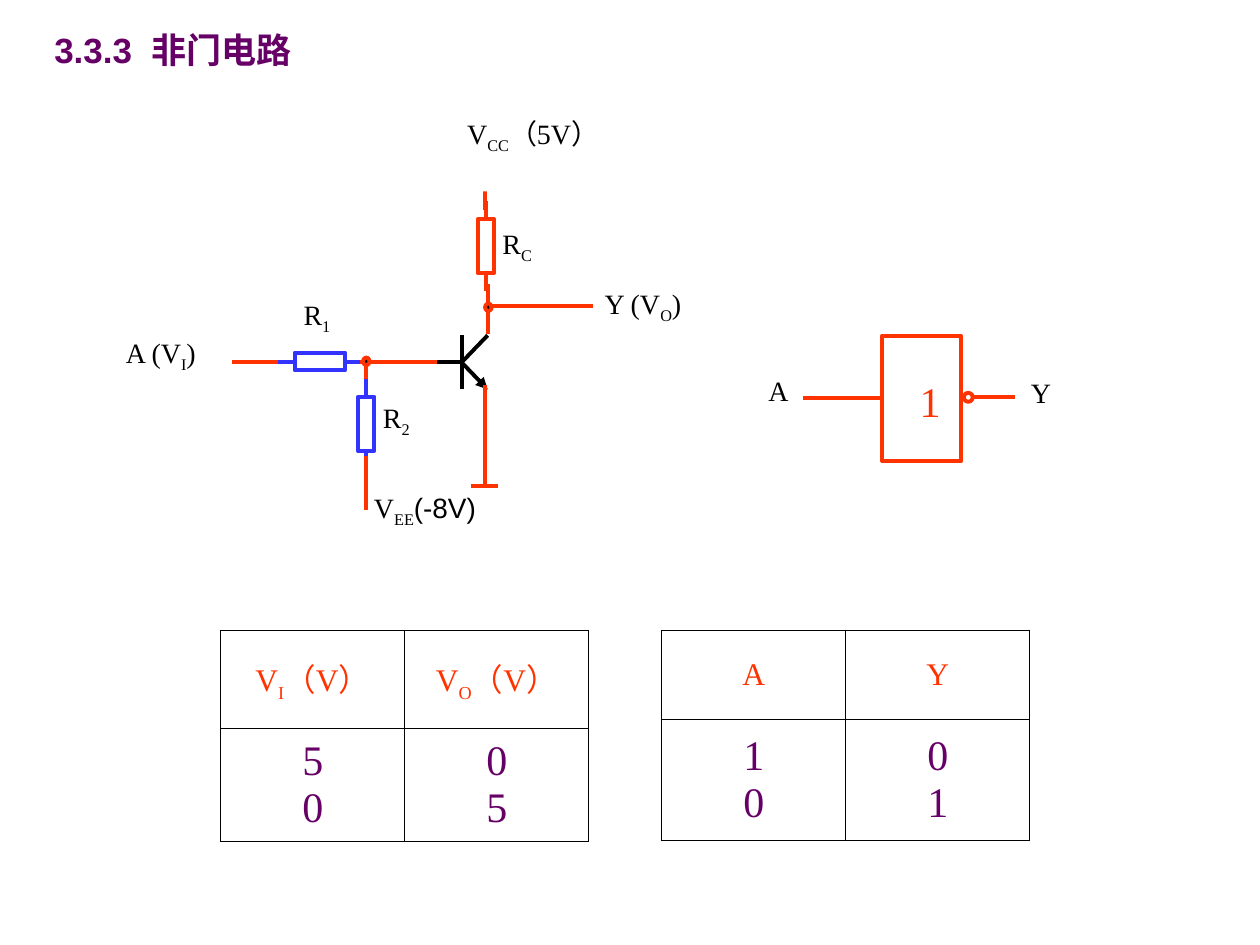
from lxml import etree
from pptx import Presentation
from pptx import util as u
from pptx.dml.color import RGBColor
from pptx.enum import shapes as sh, text as tx
from pptx.oxml.ns import qn

RED, BLUE, BLACK, WHITE, PLUM = "FF3300", "3333FF", "000000", "FFFFFF", "660066"
SERIF = "Times New Roman"


def paint(target, hue):
    """Set a solid colour on a fill."""
    target.solid()
    target.fore_color.rgb = RGBColor.from_string(hue)


def write(frame, words, size=16, font=SERIF, hue=BLACK, bold=False,
          align=tx.PP_ALIGN.LEFT, anchor=tx.MSO_ANCHOR.TOP, tail=None):
    """Write lines of text in which pairs of underscores hold subscripts."""
    frame.word_wrap = True
    frame.vertical_anchor = anchor
    for i, line in enumerate(words.split("\n")):
        para = frame.add_paragraph() if i else frame.paragraphs[0]
        para.alignment = align
        for k, part in enumerate(line.split("_")):
            run = para.add_run()
            run.text = part
            run.font.size, run.font.bold = u.Pt(size), bold
            run.font.name = tail if tail and k == 2 else font
            paint(run.font.fill, hue)
            if k % 2:
                run.font._element.set("baseline", "-25000")


def label(slide, words, x, y, w, h=1.02, **style):
    """Add a white text box without margins."""
    box = slide.shapes.add_textbox(*map(u.Cm, (x, y, w, h)))
    paint(box.fill, WHITE)
    frame = box.text_frame
    frame.margin_left = frame.margin_right = 0
    frame.margin_top = frame.margin_bottom = 0
    write(frame, words, **style)


def wire(slide, x1, y1, x2, y2, hue=RED, arrow=False):
    """Add a straight line, with an arrowhead at its end on request."""
    line = slide.shapes.add_connector(
        sh.MSO_CONNECTOR.STRAIGHT, *map(u.Cm, (x1, y1, x2, y2)))
    line.line.width = u.Pt(2.25)
    paint(line.line.fill, hue)
    if arrow:
        etree.SubElement(line.line._get_or_add_ln(), qn("a:tailEnd"), type="triangle")
    etree.SubElement(line._element.spPr, qn("a:effectLst"))


def shape(slide, kind, x, y, w, h, fill=WHITE, hue=RED):
    """Add an outlined preset shape."""
    item = slide.shapes.add_shape(kind, *map(u.Cm, (x, y, w, h)))
    item.shadow.inherit = False
    paint(item.fill, fill)
    paint(item.line.fill, hue)
    item.line.width = u.Pt(2.25)


def resist(slide, x, y, w, h, hue, lead=0.36):
    """Add a resistor with a lead at both ends of its long axis."""
    shape(slide, sh.MSO_SHAPE.RECTANGLE, x, y, w, h, hue=hue)
    if w > h:
        mid = y + h / 2
        wire(slide, x - lead, mid, x, mid, hue)
        wire(slide, x + w, mid, x + w + lead, mid, hue)
    else:
        mid = x + w / 2
        wire(slide, mid, y - lead, mid, y, hue)
        wire(slide, mid, y + h, mid, y + h + lead, hue)


def edge(cell):
    """Give a cell thin black borders."""
    props = cell._tc.get_or_add_tcPr()
    for i, side in enumerate(("lnL", "lnR", "lnT", "lnB")):
        line = etree.Element(qn("a:" + side), w=str(u.Pt(0.45)))
        solid = etree.SubElement(line, qn("a:solidFill"))
        etree.SubElement(solid, qn("a:srgbClr"), val=BLACK)
        props.insert(i, line)


def table(slide, x, y, highs, rows):
    """Add a truth table with a heading row and a value row."""
    wide = 3.71
    grid = slide.shapes.add_table(
        2, 2, u.Cm(x), u.Cm(y), u.Cm(2 * wide), u.Cm(sum(highs))).table
    for col in grid.columns:
        col.width = u.Cm(wide)
    looks = ((18, RED), (24, PLUM))
    for r, (high, row, (size, hue)) in enumerate(zip(highs, rows, looks)):
        grid.rows[r].height = u.Cm(high)
        for c, words in enumerate(row):
            cell = grid.cell(r, c)
            write(cell.text_frame, words, size=size, hue=hue,
                  align=tx.PP_ALIGN.CENTER)
            cell.vertical_anchor = tx.MSO_ANCHOR.MIDDLE
            cell.fill.background()
            edge(cell)


def title(slide, words):
    """Place and format the title."""
    head = slide.shapes.title
    head.left, head.top, head.width, head.height = map(u.Cm, (0.84, 0.43, 6.78, 1.12))
    head.text_frame.auto_size = tx.MSO_AUTO_SIZE.NONE
    write(head.text_frame, words, size=20, font="Arial", hue=PLUM, bold=True,
          anchor=tx.MSO_ANCHOR.MIDDLE)


def circuit(slide):
    """Draw the transistor inverter."""
    base = 7.29
    wire(slide, 4.67, base, 5.77, base)
    resist(slide, 5.94, base - 0.18, 1.02, 0.36, BLUE, lead=0.33)
    wire(slide, 7.26, base, 8.89, base)
    for line in ((9.32, base, 9.83, 6.76), (9.32, 6.76, 9.32, 7.85),
                 (9.32, base, 8.81, base)):
        wire(slide, *line, hue=BLACK)
    wire(slide, 9.32, 7.32, 9.83, 7.85, hue=BLACK, arrow=True)
    wire(slide, 9.78, 7.77, 9.78, 9.8)
    wire(slide, 9.5, 9.8, 10.03, 9.8)
    wire(slide, 7.37, base, 7.37, 7.77)
    resist(slide, 7.22, 8, 0.33, 1.09, BLUE)
    wire(slide, 7.37, 9.2, 7.37, 10.29)
    resist(slide, 9.63, 4.42, 0.33, 1.09, RED)
    wire(slide, 9.83, 6.73, 9.83, 5.72)
    wire(slide, 9.78, 4.24, 9.78, 3.25)
    wire(slide, 9.83, 6.17, 11.96, 6.17)
    for x, y in ((7.32, 7.21), (9.78, 6.12)):
        shape(slide, sh.MSO_SHAPE.OVAL, x, y, 0.13, 0.15, fill=BLACK)
    label(slide, "R_1", 6.12, 5.99, 1.07)
    label(slide, "R_2", 7.72, 8.08, 1.07)
    label(slide, "R_C", 10.13, 4.57, 1.07)
    label(slide, "V_CC_（5V）", 9.42, 2.34, 2.77, 1.52)
    label(slide, "V_EE_(-8V)", 7.54, 9.88, 2.18, tail="Arial")
    label(slide, "A (V_I_)", 2.54, 6.76, 2.13)
    label(slide, "Y (V_O_)", 12.19, 5.77, 2.01)


def gate(slide):
    """Draw the logic symbol."""
    shape(slide, sh.MSO_SHAPE.RECTANGLE, 17.78, 6.78, 1.6, 2.51)
    wire(slide, 17.78, 8.03, 16.18, 8.03)
    wire(slide, 19.38, 8, 20.47, 8)
    label(slide, "A", 15.49, 7.54, 0.53)
    label(slide, "Y", 20.78, 7.57, 0.53)
    label(slide, "1", 18.54, 7.57, 0.53, 1.52, size=24, hue=RED)
    shape(slide, sh.MSO_SHAPE.OVAL, 19.43, 7.92, 0.18, 0.18)


def main():
    """Build and save the slide."""
    deck = Presentation()
    deck.slide_width, deck.slide_height = u.Cm(25.4), u.Cm(19.05)
    slide = deck.slides.add_slide(deck.slide_layouts[5])
    title(slide, "3.3.3  非门电路")
    circuit(slide)
    gate(slide)
    table(slide, 4.45, 12.7, (1.98, 2.29),
          (("V_I_（V）", "V_O_（V）"), ("5\n0", "0\n5")))
    table(slide, 13.34, 12.7, (1.8, 2.44), (("A", "Y"), ("1\n0", "0\n1")))
    deck.save("out.pptx")


main()
